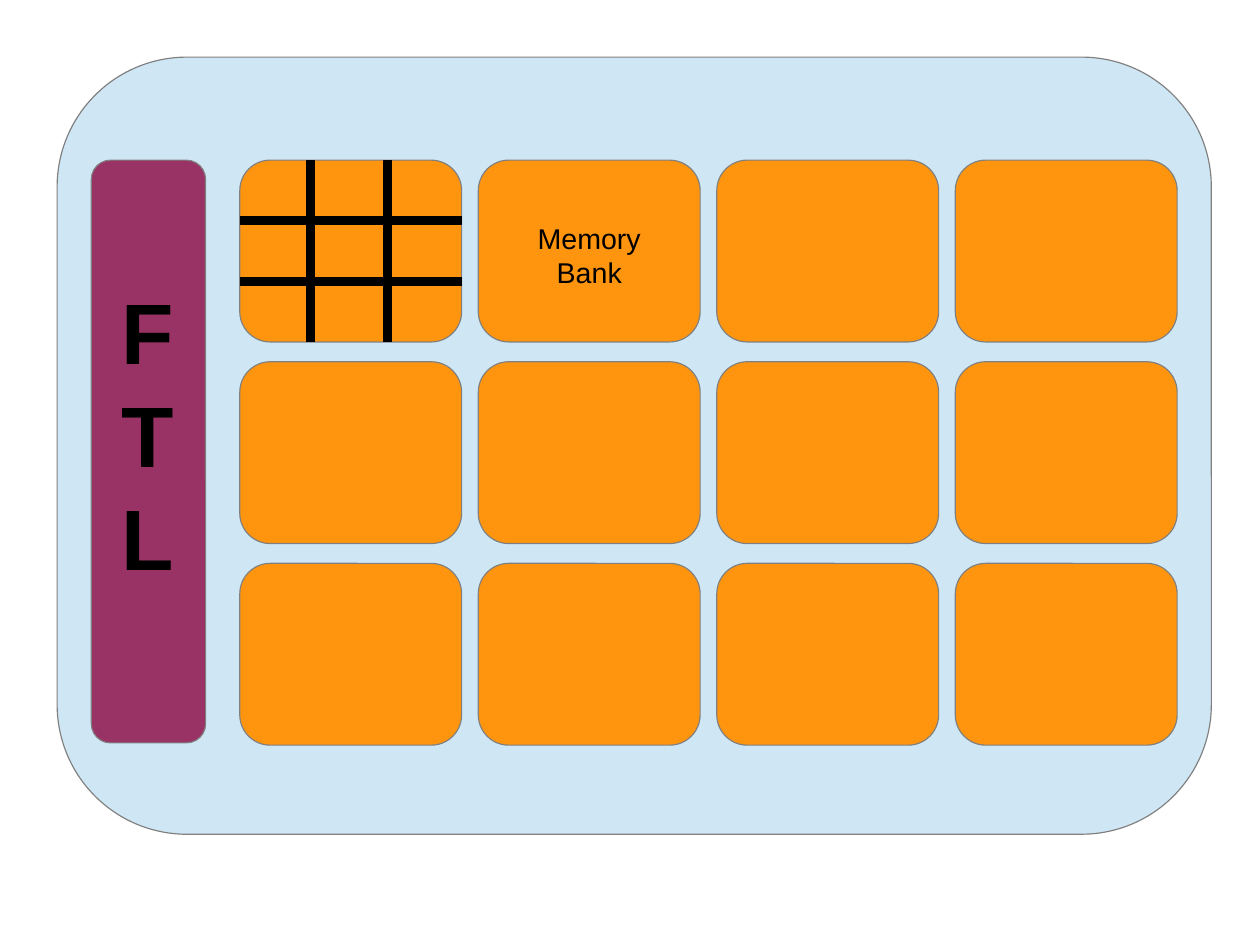
from collections import namedtuple
from dataclasses import dataclass

import pptx
import pptx.dml.color
import pptx.enum.shapes
import pptx.enum.text
import pptx.oxml
import pptx.oxml.ns
import pptx.util

Cm = pptx.util.Cm
Pt = pptx.util.Pt
Box = namedtuple("Box", "left top width height")  # centimetres


@dataclass(frozen=True)
class Theme:
    device: str = "CFE7F5"
    bank: str = "FF950E"
    ftl: str = "993366"
    outline: str = "808080"
    ink: str = "000000"
    font: str = "Arial"
    ftl_size: int = 54
    bank_size: int = 18
    outline_width: float = 0
    grid_width: float = 5.75
    corner: float = 0.167


THEME = Theme()


def rgb(value):
    return pptx.dml.color.RGBColor.from_string(value)


def in_cm(box):
    return [Cm(length) for length in box]


def add_panel(shapes, box, fill):
    """Rounded rectangle with a hairline outline."""
    panel = shapes.add_shape(
        pptx.enum.shapes.MSO_SHAPE.ROUNDED_RECTANGLE, *in_cm(box))
    panel.adjustments[0] = THEME.corner
    panel.shadow.inherit = False
    panel.fill.solid()
    panel.fill.fore_color.rgb = rgb(fill)
    panel.line.color.rgb = rgb(THEME.outline)
    panel.line.width = Pt(THEME.outline_width)


def add_text(shapes, box, text, size, bold=False, wrap=True, align="LEFT"):
    """Text box with one paragraph for each line of text."""
    frame = shapes.add_textbox(*in_cm(box)).text_frame
    frame.word_wrap = wrap
    frame.auto_size = pptx.enum.text.MSO_AUTO_SIZE.SHAPE_TO_FIT_TEXT
    frame.text = text
    for paragraph in frame.paragraphs:
        paragraph.alignment = pptx.enum.text.PP_ALIGN[align]
        paragraph.font.name = THEME.font
        paragraph.font.size = Pt(size)
        paragraph.font.bold = bold
        paragraph.font.color.rgb = rgb(THEME.ink)


def add_grid_line(shapes, start, end):
    line = shapes.add_connector(
        pptx.enum.shapes.MSO_CONNECTOR.STRAIGHT, *in_cm(start + end))
    line.line.color.rgb = rgb(THEME.ink)
    line.line.width = Pt(THEME.grid_width)
    line._element.spPr.append(
        pptx.oxml.parse_xml("<a:effectLst %s/>" % pptx.oxml.ns.nsdecls("a")))


def add_ftl(shapes, box):
    add_panel(shapes, box, THEME.ftl)
    label = Box(box.left + 0.41, box.top + 2.51, 1.68, 7.62)
    add_text(shapes, label, "F\nT\nL", THEME.ftl_size, bold=True, wrap=False)


def add_banks(shapes, box, columns=4, rows=3, gap_x=0.37, gap_y=0.44):
    """Draw the grid of memory banks and return their boxes, row by row."""
    width = (box.width - gap_x * (columns - 1)) / columns
    height = (box.height - gap_y * (rows - 1)) / rows
    banks = [Box(box.left + column * (width + gap_x),
                 box.top + row * (height + gap_y), width, height)
             for row in range(rows) for column in range(columns)]
    group = shapes.add_group_shape()
    for bank in banks:
        add_panel(group.shapes, bank, THEME.bank)
    return banks


def add_cells(shapes, bank):
    """Divide one bank into three by three cells."""
    group = shapes.add_group_shape()
    right, bottom = bank.left + bank.width, bank.top + bank.height
    for share in (0.32, 0.665):
        x = bank.left + share * bank.width
        add_grid_line(group.shapes, (x, bank.top), (x, bottom))
    for share in (1 / 3, 2 / 3):
        y = bank.top + share * bank.height
        add_grid_line(group.shapes, (bank.left, y), (right, y))


def add_bank_label(shapes, bank):
    width, height = 2.8, 1.83
    label = Box(bank.left + (bank.width - width) / 2,
                bank.top + 1.22, width, height)
    add_text(shapes, label, "Memory Bank", THEME.bank_size, align="CENTER")


def add_device(shapes, box):
    add_panel(shapes, box, THEME.device)
    top = box.top + 2.29
    add_ftl(shapes, Box(box.left + 0.76, top, 2.54, 12.95))
    banks = add_banks(shapes, Box(box.left + 4.06, top, 20.83, 13))
    add_bank_label(shapes, banks[1])
    add_cells(shapes, banks[0])


def main():
    deck = pptx.Presentation()
    deck.slide_width, deck.slide_height = Cm(28), Cm(21)
    slide = deck.slides.add_slide(deck.slide_layouts[6])
    add_device(slide.shapes, Box(1.27, 1.27, 25.65, 17.27))
    deck.save("out.pptx")


if __name__ == "__main__":
    main()
